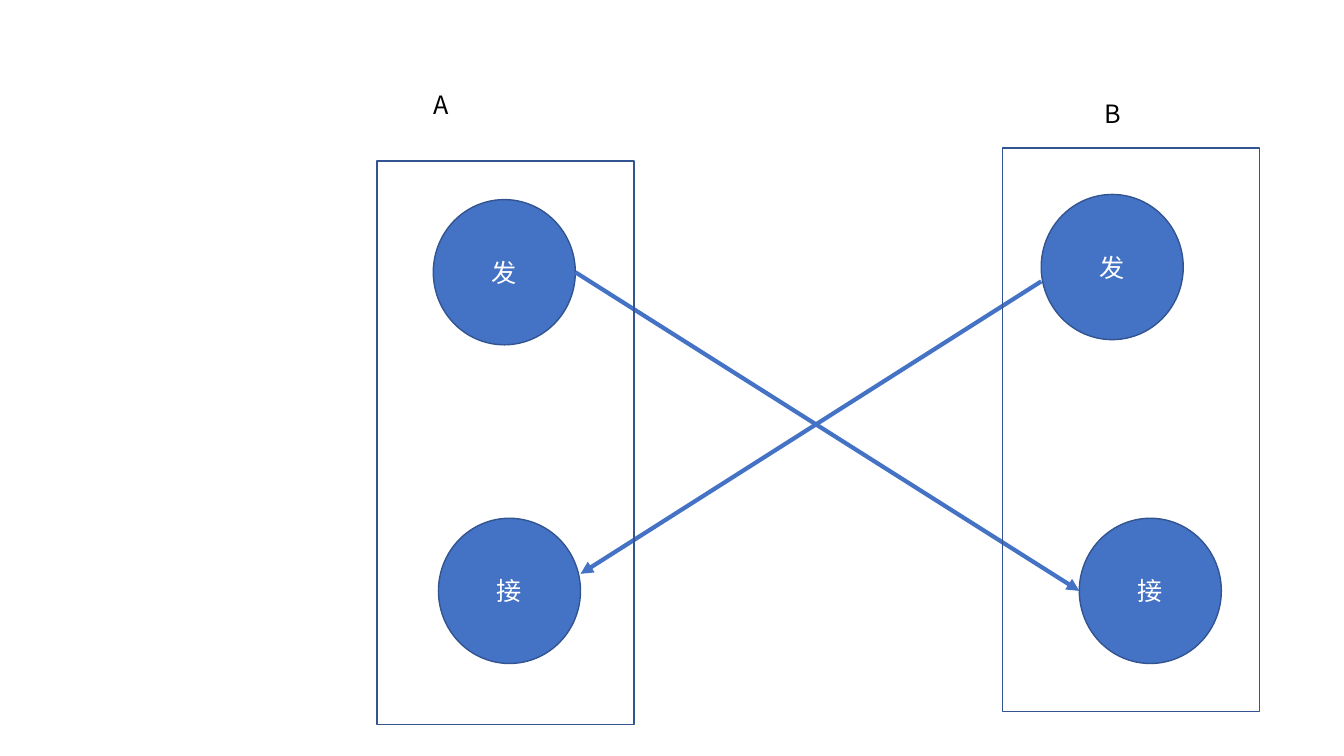
from dataclasses import dataclass

import pptx
import pptx.dml.color
import pptx.enum.shapes
import pptx.enum.text
import pptx.oxml.ns
import pptx.util
from lxml import etree

Cm = pptx.util.Cm
Pt = pptx.util.Pt
Color = pptx.dml.color.RGBColor
Preset = pptx.enum.shapes.MSO_SHAPE
qn = pptx.oxml.ns.qn


@dataclass(frozen=True)
class Theme:
    """Colours, type and line widths of the slide."""
    font: str = "Noto Sans CJK SC"
    text_size: int = 18
    blue: Color = Color(0x44, 0x72, 0xC4)
    outline: Color = Color(0x32, 0x54, 0x91)
    white: Color = Color(0xFF, 0xFF, 0xFF)
    black: Color = Color(0, 0, 0)
    outline_width: float = 1
    arrow_width: float = 3


@dataclass(frozen=True)
class Station:
    """A station's box in cm; its parts are offsets from the box corner."""
    name: str
    left: float
    top: float
    label: tuple
    sender: tuple
    receiver: tuple
    width: float = 6.48
    height: float = 14.2


THEME = Theme()
CIRCLE_WIDTH, CIRCLE_HEIGHT = 3.58, 3.66
LABEL_WIDTH, LABEL_HEIGHT = 0.9, 1.02
STATION_A = Station("A", 9.5, 4.06, (1.17, -1.93), (1.42, 0.97), (1.55, 9))
STATION_B = Station("B", 25.27, 3.73, (2.31, -1.37), (0.97, 1.17), (1.93, 9.33))


def write_text(shape, text, color, align=None, anchor=None, wrap=True):
    """Put one formatted line of text in a shape."""
    frame = shape.text_frame
    frame.word_wrap = wrap
    if anchor is not None:
        frame.vertical_anchor = anchor
    paragraph = frame.paragraphs[0]
    paragraph.alignment = align
    run = paragraph.add_run()
    run.text = text
    run.font.name = THEME.font
    run.font.size = Pt(THEME.text_size)
    run.font.color.rgb = color
    east_asian = etree.SubElement(run.font._element, qn("a:ea"))
    east_asian.set("typeface", THEME.font)


def add_outlined(slide, preset, left, top, width, height, fill=None):
    """Add a preset shape with the common outline and an optional fill."""
    shape = slide.shapes.add_shape(preset, Cm(left), Cm(top), Cm(width), Cm(height))
    shape.shadow.inherit = False
    if fill is None:
        shape.fill.background()
    else:
        shape.fill.solid()
        shape.fill.fore_color.rgb = fill
    shape.line.color.rgb = THEME.outline
    shape.line.width = Pt(THEME.outline_width)
    return shape


def add_circles(slide, station):
    """Place the sending and receiving circles inside a station's box."""
    for text, (x, y) in (("发", station.sender), ("接", station.receiver)):
        circle = add_outlined(slide, Preset.OVAL, station.left + x, station.top + y,
                              CIRCLE_WIDTH, CIRCLE_HEIGHT, fill=THEME.blue)
        write_text(circle, text, THEME.white, align=pptx.enum.text.PP_ALIGN.CENTER,
                   anchor=pptx.enum.text.MSO_ANCHOR.MIDDLE)


def add_frame(slide, station):
    """Draw a station's box and the name above it."""
    add_outlined(slide, Preset.RECTANGLE, station.left, station.top,
                 station.width, station.height)
    x, y = station.label
    label = slide.shapes.add_textbox(Cm(station.left + x), Cm(station.top + y),
                                     Cm(LABEL_WIDTH), Cm(LABEL_HEIGHT))
    write_text(label, station.name, THEME.black, wrap=False)
    label.text_frame.auto_size = pptx.enum.text.MSO_AUTO_SIZE.SHAPE_TO_FIT_TEXT


def circle_side(station, offset, right, shift=0):
    """Return the left or right edge point of a circle, shifted vertically."""
    x = station.left + offset[0] + (CIRCLE_WIDTH if right else 0)
    return x, station.top + offset[1] + CIRCLE_HEIGHT / 2 + shift


def add_arrow(slide, start, end):
    """Draw a straight arrow between two points."""
    arrow = slide.shapes.add_connector(pptx.enum.shapes.MSO_CONNECTOR.STRAIGHT,
                                       *map(Cm, start + end))
    arrow.line.color.rgb = THEME.blue
    arrow.line.width = Pt(THEME.arrow_width)
    head = etree.SubElement(arrow.line._get_or_add_ln(), qn("a:tailEnd"))
    head.set("type", "triangle")
    etree.SubElement(arrow._element.spPr, qn("a:effectLst"))


def build_exchange(slide, first, second):
    """Draw two stations that each send to the other."""
    for station in (first, second):
        add_circles(slide, station)
    add_arrow(slide, circle_side(first, first.sender, right=True),
              circle_side(second, second.receiver, right=False))
    add_arrow(slide, circle_side(second, second.sender, right=False, shift=0.36),
              circle_side(first, first.receiver, right=True, shift=-0.43))
    for station in (first, second):
        add_frame(slide, station)


presentation = pptx.Presentation()
presentation.slide_width = Cm(33.87)
presentation.slide_height = Cm(19.05)
build_exchange(presentation.slides.add_slide(presentation.slide_layouts[6]),
               STATION_A, STATION_B)
presentation.save("out.pptx")
